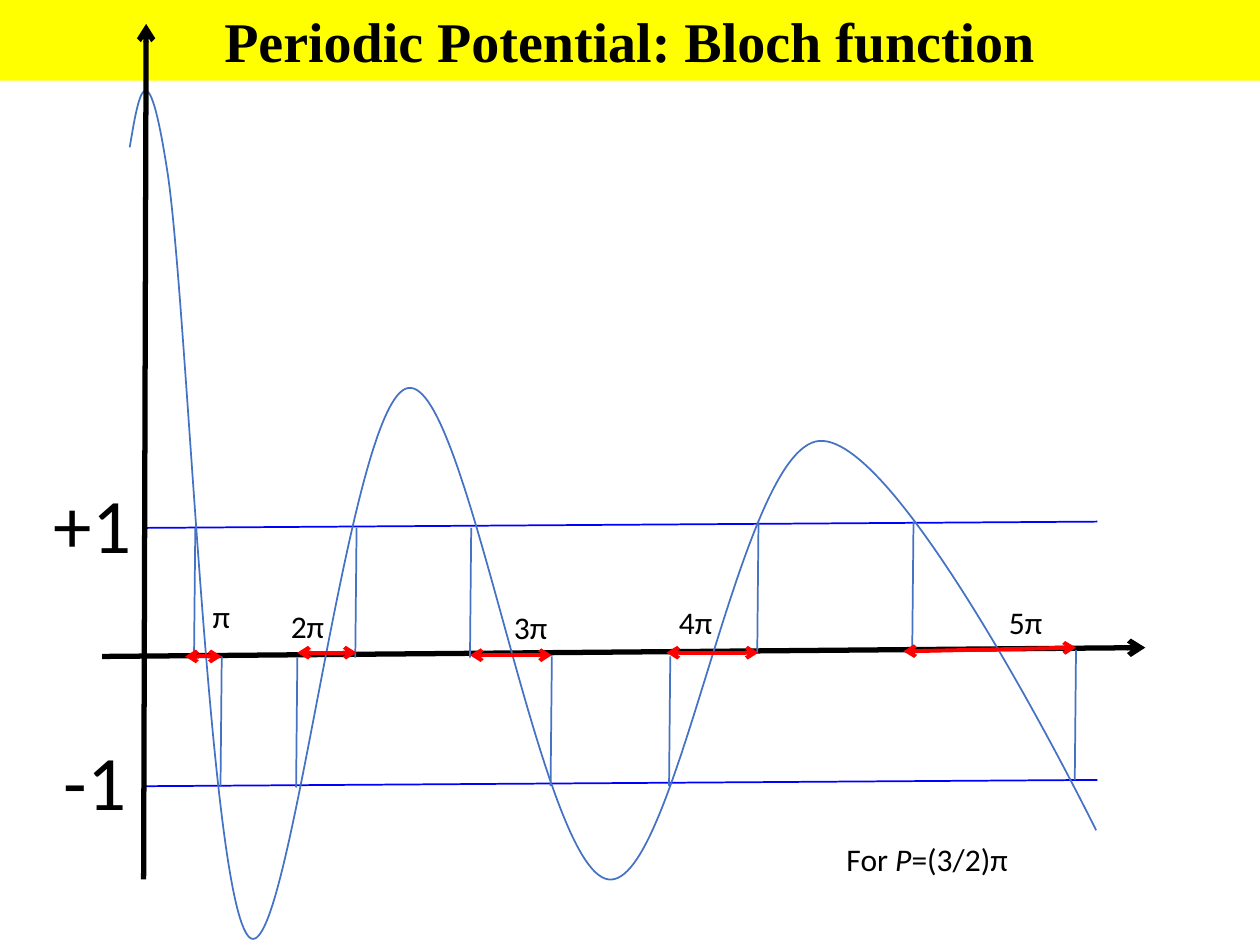
from dataclasses import dataclass

from lxml.etree import SubElement
from pptx import Presentation
from pptx.dml.color import RGBColor
from pptx.enum.shapes import MSO_CONNECTOR as Connector
from pptx.enum.text import MSO_ANCHOR as Anchor, MSO_AUTO_SIZE as AutoSize, PP_ALIGN as Align
from pptx.oxml.ns import qn
from pptx.util import Inches, Pt


@dataclass(frozen=True)
class Theme:
    black: str = "000000"
    banner: str = "FFFF00"
    limit: str = "0000FF"
    curve: str = "4472C4"
    band: str = "FF0000"
    title_font: str = "Times New Roman"
    body_font: str = "Calibri"
    title_size: int = 32
    limit_size: int = 44
    label_size: int = 18
    thin: float = 1
    medium: float = 2.25
    thick: float = 3


@dataclass(frozen=True)
class Box:
    left: float
    top: float
    width: float
    height: float

    def point(self, x, y):
        return Inches(self.left + x), Inches(self.top + y)


@dataclass(frozen=True)
class Band:
    label: str
    label_at: tuple
    upper_drop: tuple
    lower_drop: tuple
    start: tuple
    end: tuple


THEME = Theme()
DROP_HEIGHT = 1.03
LIMIT_GAP = 2.05
CURVE_START = (0, 0.45)
CURVE_SEGMENTS = [
    ((0.07, 0.03), (0.14, -0.39), (0.3, 0.65)),
    ((0.46, 1.7), (0.63, 6.43), (0.95, 6.72)),
    ((1.27, 7), (1.73, 2.43), (2.21, 2.36)),
    ((2.68, 2.28), (3.25, 6.19), (3.8, 6.26)),
    ((4.34, 6.33), (4.83, 2.84), (5.47, 2.78)),
    ((6.12, 2.72), (7.67, 5.87), (7.67, 5.87)),
]
BANDS = [
    Band("2π", (1.21, 4.57), (1.83, 3.99), (1.36, 5.02), (1.36, 4.98), (1.83, 4.98)),
    Band("3π", (2.98, 4.58), (2.74, 3.99), (3.38, 5.01), (2.73, 5), (3.38, 5)),
    Band("4π", (4.29, 4.54), (5.02, 3.95), (4.32, 5.01), (4.29, 4.98), (5.02, 4.98)),
    Band("5π", (6.91, 4.54), (6.25, 3.94), (7.54, 4.96), (6.17, 4.97), (7.54, 4.94)),
    Band("π", (0.59, 4.49), (0.55, 3.99), (0.76, 5.01), (0.47, 5.01), (0.76, 5.01)),
]


def add_line(shapes, box, start, end, color, width, arrows=()):
    line = shapes.add_connector(Connector.STRAIGHT, *box.point(*start), *box.point(*end))
    line.line.color.rgb = RGBColor.from_string(color)
    line.line.width = Pt(width)
    outline = line.line._get_or_add_ln()
    for arrow in arrows:
        SubElement(outline, qn(f"a:{arrow}"), type="arrow")
    SubElement(line._element.spPr, qn("a:effectLst"))


def add_label(shapes, box, position, size, runs, font_size):
    shape = shapes.add_textbox(*box.point(*position), *map(Inches, size))
    frame = shape.text_frame
    frame.word_wrap = False
    frame.auto_size = AutoSize.SHAPE_TO_FIT_TEXT
    paragraph = frame.paragraphs[0]
    paragraph.font.name = THEME.body_font
    paragraph.font.size = Pt(font_size)
    paragraph.font.color.rgb = RGBColor.from_string(THEME.black)
    for text, italic in runs:
        run = paragraph.add_run()
        run.text = text
        if italic:
            run.font.italic = True


def add_title(slide, box):
    title = slide.shapes.title
    title.left, title.top = box.point(0, 0)
    title.width, title.height = Inches(box.width), Inches(box.height)
    title.fill.solid()
    title.fill.fore_color.rgb = RGBColor.from_string(THEME.banner)
    frame = title.text_frame
    frame.text = "Periodic Potential: Bloch function"
    frame.word_wrap = True
    frame.auto_size = AutoSize.NONE
    frame.vertical_anchor = Anchor.TOP
    paragraph = frame.paragraphs[0]
    paragraph.alignment = Align.CENTER
    paragraph.font.name = THEME.title_font
    paragraph.font.size = Pt(THEME.title_size)
    paragraph.font.bold = True
    paragraph.font.color.rgb = RGBColor.from_string(THEME.black)


def add_curve(slide, box):
    builder = slide.shapes.build_freeform(*box.point(0, 0))
    builder.add_line_segments([box.point(box.width, box.height)], close=False)
    curve = builder.convert_to_shape()
    outline = curve._element.find(f".//{qn('a:path')}")
    for command in list(outline):
        outline.remove(command)
    commands = [("moveTo", (CURVE_START,))]
    commands += [("cubicBezTo", segment) for segment in CURVE_SEGMENTS]
    for name, points in commands:
        command = SubElement(outline, qn(f"a:{name}"))
        for x, y in points:
            SubElement(command, qn("a:pt"), x=str(Inches(x)), y=str(Inches(y)))
    curve.shadow.inherit = False
    curve.fill.background()
    curve.line.color.rgb = RGBColor.from_string(THEME.curve)
    curve.line.width = Pt(THEME.thin)


def add_band(slide, box, band):
    group = slide.shapes.add_group_shape()
    for x, y in (band.upper_drop, band.lower_drop):
        add_line(group.shapes, box, (x, y), (x - 0.01, y + DROP_HEIGHT), THEME.curve, THEME.thin)
    add_line(group.shapes, box, band.start, band.end, THEME.band, THEME.medium, ("headEnd", "tailEnd"))


def add_band_label(slide, box, band):
    width = 0.34 if len(band.label) == 1 else 0.47
    add_label(slide.shapes, box, band.label_at, (width, 0.4), [(band.label, False)], THEME.label_size)


def add_limit_lines(slide, box):
    group = slide.shapes.add_group_shape()
    for offset in (0, LIMIT_GAP):
        add_line(group.shapes, box, (0.14, 3.99 + offset), (7.71, 3.94 + offset), THEME.limit, THEME.thin)


def add_limit_labels(slide, box):
    group = slide.shapes.add_group_shape()
    for text, position, width in (("+1", (-0.67, 3.53), 0.82), ("-1", (-0.59, 5.57), 0.7)):
        add_label(group.shapes, box, position, (width, 0.84), [(text, False)], THEME.limit_size)


def add_plot(slide, box):
    add_line(slide.shapes, box, (-0.19, 5.01), (8.09, 4.94), THEME.black, THEME.thick, ("tailEnd",))
    add_limit_lines(slide, box)
    add_curve(slide, Box(box.left + 0.03, box.top + 0.52, 7.67, 6.73))
    for band in BANDS:
        add_band(slide, box, band)
    add_limit_labels(slide, box)
    note = [("For ", False), ("P", True), ("=(3/2)π", False)]
    add_label(slide.shapes, box, (5.62, 6.42), (1.5, 0.4), note, THEME.label_size)
    for band in BANDS:
        add_band_label(slide, box, band)
    add_line(slide.shapes, box, (0.14, 6.78), (0.16, -0.01), THEME.black, THEME.thick, ("tailEnd",))


def main():
    presentation = Presentation()
    presentation.slide_width, presentation.slide_height = Inches(10), Inches(7.5)
    slide = presentation.slides.add_slide(presentation.slide_layouts[5])
    add_title(slide, Box(0, 0, 10, 0.64))
    add_plot(slide, Box(1, 0.2, 8.1, 7.25))
    presentation.save("out.pptx")


if __name__ == "__main__":
    main()
